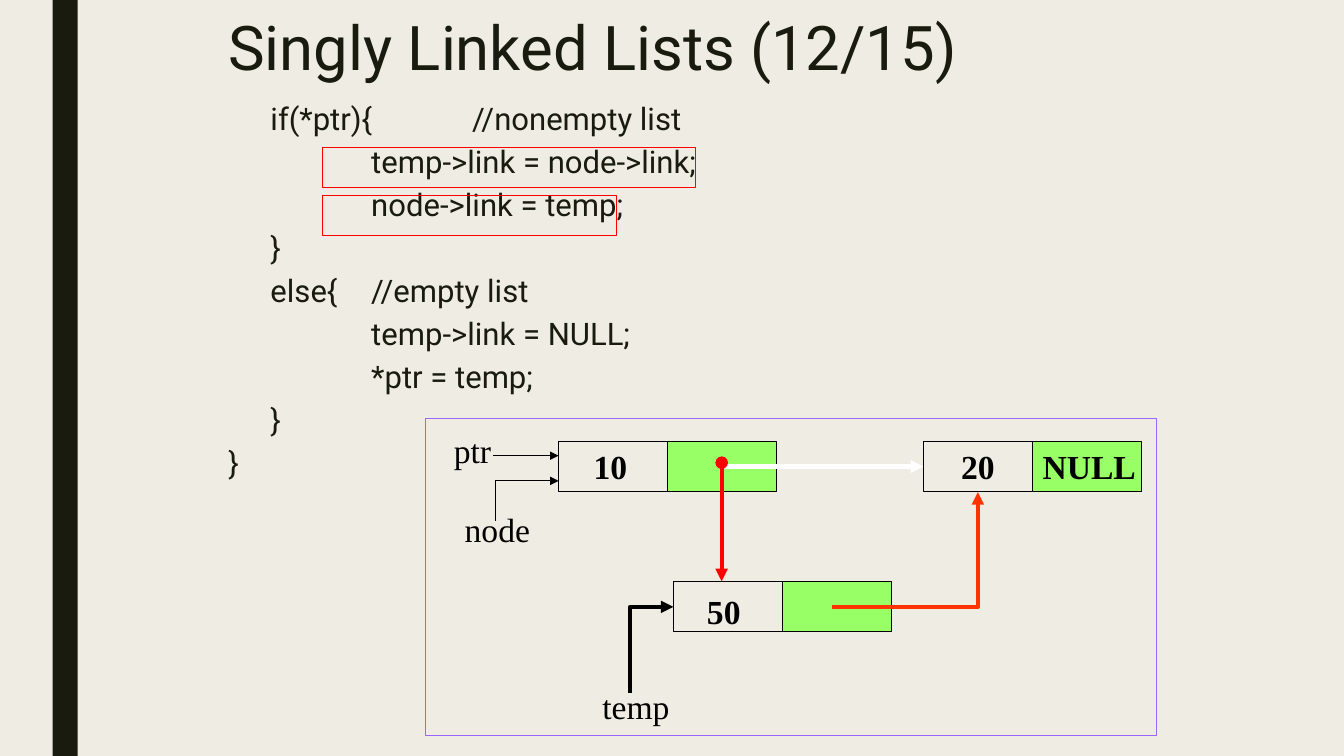
import pptx
import pptx.dml.color
import pptx.enum.dml
import pptx.enum.shapes
import pptx.enum.text
import pptx.oxml
import pptx.oxml.ns
import pptx.util

Pt = pptx.util.Pt
ALIGN = pptx.enum.text.PP_ALIGN
COLORS = {
    "background": "EFEDE3",
    "ink": "191B0E",
    "black": "000000",
    "white": "FFFFFF",
    "link": "99FF66",
    "new_link": "FF3300",
    "red": "FF0000",
    "frame": "9966FF",
}
CODE = [
    "\tif(*ptr){\t//nonempty list",
    "\t\ttemp->link = node->link;",
    "\t\tnode->link = temp;",
    "\t}",
    "\telse{\t//empty list",
    "\t\ttemp->link = NULL;",
    "\t\t*ptr = temp;",
    "\t}",
    "}",
]
CELL_WIDTH, CELL_HEIGHT = 78, 36
ROW_TOP, NEW_TOP = 315.25, 415.25


def color(name):
    return pptx.dml.color.RGBColor.from_string(COLORS[name])


def place(shape, left, top, width, height):
    shape.left, shape.top, shape.width, shape.height = map(Pt, (left, top, width, height))


def add_run(paragraph, text, font_name, size, color_name, bold=False):
    run = paragraph.add_run()
    run.text = text
    run.font.name = font_name
    run.font.size = Pt(size)
    run.font.bold = bold
    run.font.color.rgb = color(color_name)


def add_box(slide, left, top, width, height, fill=None, line=None):
    shape = slide.shapes.add_shape(
        pptx.enum.shapes.MSO_SHAPE.RECTANGLE, Pt(left), Pt(top), Pt(width), Pt(height))
    shape.shadow.inherit = False
    if fill:
        shape.fill.solid()
        shape.fill.fore_color.rgb = color(fill)
    else:
        shape.fill.background()
    if line:
        shape.line.color.rgb = color(line)
        shape.line.width = Pt(0.75)
    else:
        shape.line.fill.background()
    return shape


def add_node(slide, left, top):
    data = add_box(slide, left, top, CELL_WIDTH, CELL_HEIGHT, line="black")
    add_box(slide, left + CELL_WIDTH, top, CELL_WIDTH, CELL_HEIGHT, "link", "black")
    return data


def add_label(slide, text, left, top, width, bold=False):
    box = slide.shapes.add_textbox(Pt(left), Pt(top), Pt(width), Pt(36))
    box.text_frame.word_wrap = False
    box.text_frame.auto_size = pptx.enum.text.MSO_AUTO_SIZE.SHAPE_TO_FIT_TEXT
    paragraph = box.text_frame.paragraphs[0]
    paragraph.alignment = ALIGN.CENTER
    add_run(paragraph, text, "Times New Roman", 24, "black", bold)


def style_arrow(shape, color_name, width, head=None):
    shape.line.color.rgb = color(color_name)
    shape.line.width = Pt(width)
    line = shape.line._get_or_add_ln()
    for tag, kind in (("a:headEnd", head), ("a:tailEnd", "triangle")):
        if kind:
            end = pptx.oxml.ns.qn(tag)
            line.append(line.makeelement(end, {"type": kind}))


def add_arrow(slide, start, end, color_name, width, head=None):
    connector = slide.shapes.add_connector(
        pptx.enum.shapes.MSO_CONNECTOR.STRAIGHT, *map(Pt, start + end))
    style_arrow(connector, color_name, width, head)
    properties = connector._element.spPr
    properties.append(properties.makeelement(pptx.oxml.ns.qn("a:effectLst"), {}))
    return connector


def add_bent_arrow(slide, points, color_name, width):
    start, *others = [tuple(map(Pt, point)) for point in points]
    builder = slide.shapes.build_freeform(*start, scale=1.0)
    builder.add_line_segments(others, close=False)
    shape = builder.convert_to_shape()
    shape.shadow.inherit = False
    shape.fill.background()
    style_arrow(shape, color_name, width)


def prepare_text(shape):
    frame = shape.text_frame
    frame.word_wrap = True
    frame.auto_size = pptx.enum.text.MSO_AUTO_SIZE.NONE
    frame.vertical_anchor = pptx.enum.text.MSO_ANCHOR.TOP
    return frame


def fill_title(shape, text):
    place(shape, 156, 9.5, 648, 62.5)
    paragraph = prepare_text(shape).paragraphs[0]
    paragraph.alignment = ALIGN.LEFT
    paragraph.line_spacing = 0.89
    add_run(paragraph, text, "Roboto", 44, "ink")


def fill_code(shape, lines):
    place(shape, 156, 75, 648, 291.5)
    frame = prepare_text(shape)
    for index, text in enumerate(lines):
        paragraph = frame.add_paragraph() if index else frame.paragraphs[0]
        properties = paragraph._p.get_or_add_pPr()
        properties.set("marL", str(Pt(30)))
        properties.set("indent", str(Pt(-30)))
        properties.set("defTabSz", str(Pt(72)))
        properties.append(properties.makeelement(pptx.oxml.ns.qn("a:buNone"), {}))
        paragraph.alignment = ALIGN.LEFT
        paragraph.line_spacing = 0.7
        paragraph.space_before = Pt(10 if index else 0)
        paragraph.space_after = Pt(2)
        add_run(paragraph, text, "Roboto", 22.2, "ink")


def add_diagram(slide):
    add_label(slide, "node", 324.5, 360, 61.5)
    add_node(slide, 399, ROW_TOP)
    add_node(slide, 481, NEW_TOP)
    last_node = add_node(slide, 659.5, ROW_TOP)

    middle = ROW_TOP + CELL_HEIGHT / 2
    old_link = add_arrow(slide, (517, middle), (659.5, middle), "white", 3)
    old_link.end_connect(last_node, 1)
    add_bent_arrow(slide, [(594, 433.5), (698.5, 433.5), (698.5, 351.5)], "new_link", 3)
    add_arrow(slide, (515.5, 330.5), (515.5, NEW_TOP), "red", 3, "oval")

    for text, center, top, width in (
            ("20", 698.5, ROW_TOP, 44), ("10", 436, ROW_TOP, 44),
            ("50", 517, 418.5, 44), ("NULL", 778, ROW_TOP, 84)):
        add_label(slide, text, center - width / 2, top, width, bold=True)

    add_bent_arrow(slide, [(450, 495), (450, 433.5), (481, 433.5)], "black", 3)
    add_arrow(slide, (352, 325.5), (399, 325.5), "black", 0.75)
    add_bent_arrow(slide, [(353.75, 372), (353.75, 343.5), (399, 343.5)], "black", 0.75)
    add_label(slide, "temp", 422.5, 486.75, 63.5)
    add_label(slide, "ptr", 316, 303.25, 43)
    add_box(slide, 304, 298.75, 522, 226.75, line="frame")


def main():
    presentation = pptx.Presentation()
    presentation.slide_width, presentation.slide_height = Pt(960), Pt(540)
    slide = presentation.slides.add_slide(presentation.slide_layouts[1])
    slide.background.fill.solid()
    slide.background.fill.fore_color.rgb = color("background")

    add_box(slide, 37.5, 0, 18, 540, fill="ink")
    fill_title(slide.shapes.title, "Singly Linked Lists (12/15)")
    fill_code(slide.placeholders[1], CODE)
    add_diagram(slide)
    for top, width in ((105.5, 266.5), (139.5, 210)):
        add_box(slide, 230.25, top, width, 28.5, line="red")
    presentation.save("out.pptx")


if __name__ == "__main__":
    main()
